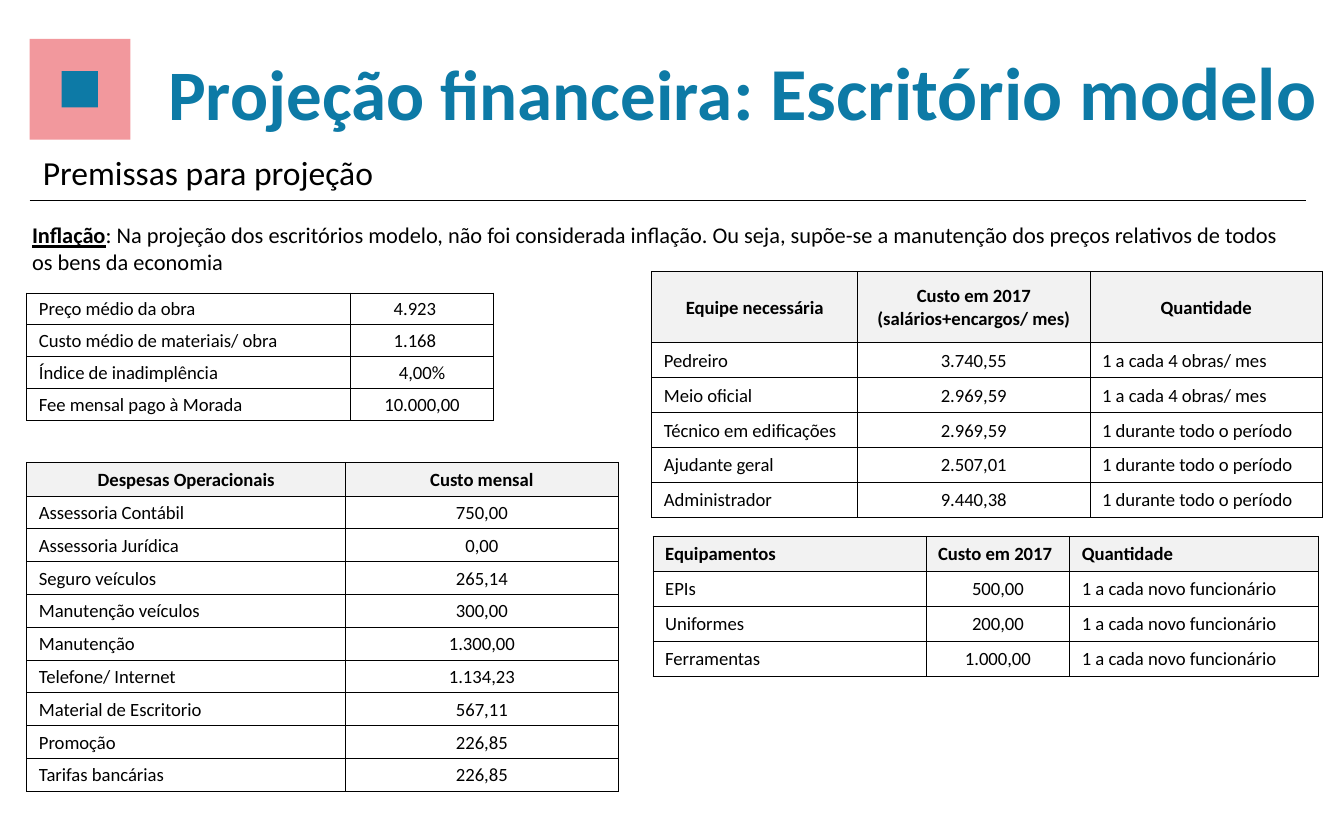
import pptx
import pptx.dml.color
import pptx.enum.shapes
import pptx.enum.text
import pptx.oxml.ns
import pptx.util
import lxml.etree

Inches = pptx.util.Inches
Pt = pptx.util.Pt
RGBColor = pptx.dml.color.RGBColor
Align = pptx.enum.text.PP_ALIGN
Anchor = pptx.enum.text.MSO_ANCHOR
qn = pptx.oxml.ns.qn

BLUE = RGBColor(0x0D, 0x7A, 0xA6)
PINK = RGBColor(0xF2, 0x98, 0x9D)
BLACK = RGBColor(0, 0, 0)
WHITE = RGBColor(0xFF, 0xFF, 0xFF)
GRAY = RGBColor(0xF2, 0xF2, 0xF2)
FONT = "Calibri"

TITLE = [("Projeção financeira", 38), (": Escritório modelo", 40)]
SUBTITLE = "Premissas para projeção"
INFLATION_LABEL = "Inflação"
INFLATION_TEXT = (
    ": Na projeção dos escritórios modelo, não foi considerada inflação. "
    "Ou seja, supõe-se a manutenção dos preços relativos de todos os bens da economia"
)

PER_WORKS = "1 a cada 4 obras/ mes"
WHOLE_PERIOD = "1 durante todo o período"
PER_EMPLOYEE = "1 a cada novo funcionário"

TABLES = {
    "premises": {
        "at": (0.2, 2.18), "height": 0.95, "columns": (2.41, 1.06), "align": "lc",
        "rows": [
            ("Preço médio da obra", "4.923"),
            ("Custo médio de materiais/ obra", "1.168"),
            ("Índice de inadimplência", "4,00%"),
            ("Fee mensal pago à Morada", "10.000,00"),
        ],
    },
    "team": {
        "at": (4.85, 2.02), "height": 1.83, "columns": (1.53, 1.73, 1.73), "align": "lcl",
        "header": ("Equipe necessária", "Custo em 2017\v(salários+encargos/ mes)", "Quantidade"),
        "header_align": "ccc", "header_height": 0.53,
        "rows": [
            ("Pedreiro", "3.740,55", PER_WORKS),
            ("Meio oficial", "2.969,59", PER_WORKS),
            ("Técnico em edificações", "2.969,59", WHOLE_PERIOD),
            ("Ajudante geral", "2.507,01", WHOLE_PERIOD),
            ("Administrador", "9.440,38", WHOLE_PERIOD),
        ],
    },
    "expenses": {
        "at": (0.2, 3.44), "height": 2.45, "columns": (2.37, 2.03), "align": "lc",
        "header": ("Despesas Operacionais", "Custo mensal"),
        "header_align": "cc", "header_height": 0.25,
        "rows": [
            ("Assessoria Contábil", "750,00"),
            ("Assessoria Jurídica", "0,00"),
            ("Seguro veículos", "265,14"),
            ("Manutenção veículos", "300,00"),
            ("Manutenção", "1.300,00"),
            ("Telefone/ Internet", "1.134,23"),
            ("Material de Escritorio", "567,11"),
            ("Promoção", "226,85"),
            ("Tarifas bancárias", "226,85"),
        ],
    },
    "equipment": {
        "at": (4.86, 3.99), "height": 1.04, "columns": (2.03, 1.07, 1.85), "align": "lcl",
        "header": ("Equipamentos", "Custo em 2017", "Quantidade"),
        "header_align": "lll", "header_height": 0.26,
        "rows": [
            ("EPIs", "500,00", PER_EMPLOYEE),
            ("Uniformes", "200,00", PER_EMPLOYEE),
            ("Ferramentas", "1.000,00", PER_EMPLOYEE),
        ],
    },
}


def style_font(font, size, color=BLACK, bold=False):
    font.name = FONT
    font.size = Pt(size)
    font.color.rgb = color
    font.bold = bold


def place(shape, left, top, width, height):
    shape.left, shape.top = Inches(left), Inches(top)
    shape.width, shape.height = Inches(width), Inches(height)


def add_square(slide, left, top, width, height, color):
    shape = slide.shapes.add_shape(
        pptx.enum.shapes.MSO_SHAPE.RECTANGLE,
        Inches(left), Inches(top), Inches(width), Inches(height))
    shape.shadow.inherit = False
    shape.fill.solid()
    shape.fill.fore_color.rgb = color
    shape.line.fill.background()


def add_text(slide, left, top, width, height, size):
    box = slide.shapes.add_textbox(Inches(left), Inches(top), Inches(width), Inches(height))
    box.text_frame.word_wrap = True
    paragraph = box.text_frame.paragraphs[0]
    style_font(paragraph.font, size)
    return paragraph


def add_borders(cell):
    properties = cell._tc.get_or_add_tcPr()
    for side in ("a:lnL", "a:lnR", "a:lnT", "a:lnB"):
        border = lxml.etree.SubElement(properties, qn(side), w=str(Pt(0.5)))
        fill = lxml.etree.SubElement(border, qn("a:solidFill"))
        lxml.etree.SubElement(fill, qn("a:srgbClr"), val=str(BLACK))


def fill_cell(cell, text, align, is_header):
    add_borders(cell)
    cell.fill.solid()
    cell.fill.fore_color.rgb = GRAY if is_header else WHITE
    cell.vertical_anchor = Anchor.MIDDLE
    cell.margin_left = Inches(0.09 if align == "l" else 0.01)
    cell.margin_right = cell.margin_top = Inches(0.01)
    cell.margin_bottom = 0
    cell.text = text
    paragraph = cell.text_frame.paragraphs[0]
    paragraph.alignment = Align.LEFT if align == "l" else Align.CENTER
    style_font(paragraph.font, 10, bold=is_header)


def add_table(slide, data):
    header = [data["header"]] if "header" in data else []
    rows = header + data["rows"]
    header_height = data.get("header_height", 0)
    row_height = (data["height"] - header_height) / len(data["rows"])
    left, top = data["at"]
    table = slide.shapes.add_table(
        len(rows), len(data["columns"]), Inches(left), Inches(top),
        Inches(sum(data["columns"])), Inches(data["height"])).table
    table.first_row = bool(header)
    table.horz_banding = False
    for column, width in zip(table.columns, data["columns"]):
        column.width = Inches(width)
    for index, values in enumerate(rows):
        is_header = index < len(header)
        table.rows[index].height = Inches(header_height if is_header else row_height)
        aligns = data["header_align"] if is_header else data["align"]
        for column, (text, align) in enumerate(zip(values, aligns)):
            fill_cell(table.cell(index, column), text, align, is_header)
    return table


def main():
    presentation = pptx.Presentation()
    presentation.slide_width, presentation.slide_height = Inches(10), Inches(6.25)
    slide = presentation.slides.add_slide(presentation.slide_layouts[5])

    title = slide.shapes.title
    place(title, 1.15, 0.29, 8.86, 0.77)
    title.text_frame.word_wrap = False
    title.text_frame.auto_size = pptx.enum.text.MSO_AUTO_SIZE.NONE
    title.text_frame.vertical_anchor = Anchor.TOP
    paragraph = title.text_frame.paragraphs[0]
    paragraph.alignment = Align.LEFT
    for text, size in TITLE:
        run = paragraph.add_run()
        run.text = text
        style_font(run.font, size, BLUE, True)

    add_square(slide, 0.22, 0.29, 0.75, 0.75, PINK)
    add_square(slide, 0.46, 0.53, 0.27, 0.27, BLUE)

    add_text(slide, 0.22, 1.08, 9.02, 0.4, 18).add_run().text = SUBTITLE
    rule = slide.shapes.add_connector(
        pptx.enum.shapes.MSO_CONNECTOR.STRAIGHT,
        Inches(0.22), Inches(1.49), Inches(9.72), Inches(1.49))
    rule.line.color.rgb = BLACK
    rule.line.width = Pt(0.75)
    lxml.etree.SubElement(rule._element.spPr, qn("a:effectLst"))

    tables = {name: add_table(slide, data) for name, data in TABLES.items()}
    for row in (0, 1):
        cell = tables["premises"].cell(row, 1)
        cell.margin_left = Inches(0.32)
        cell.text_frame.paragraphs[0].alignment = Align.LEFT

    inflation = add_text(slide, 0.14, 1.6, 9.66, 0.5, 12)
    label = inflation.add_run()
    label.text = INFLATION_LABEL
    label.font.bold = label.font.underline = True
    inflation.add_run().text = INFLATION_TEXT

    presentation.save("out.pptx")


if __name__ == "__main__":
    main()
